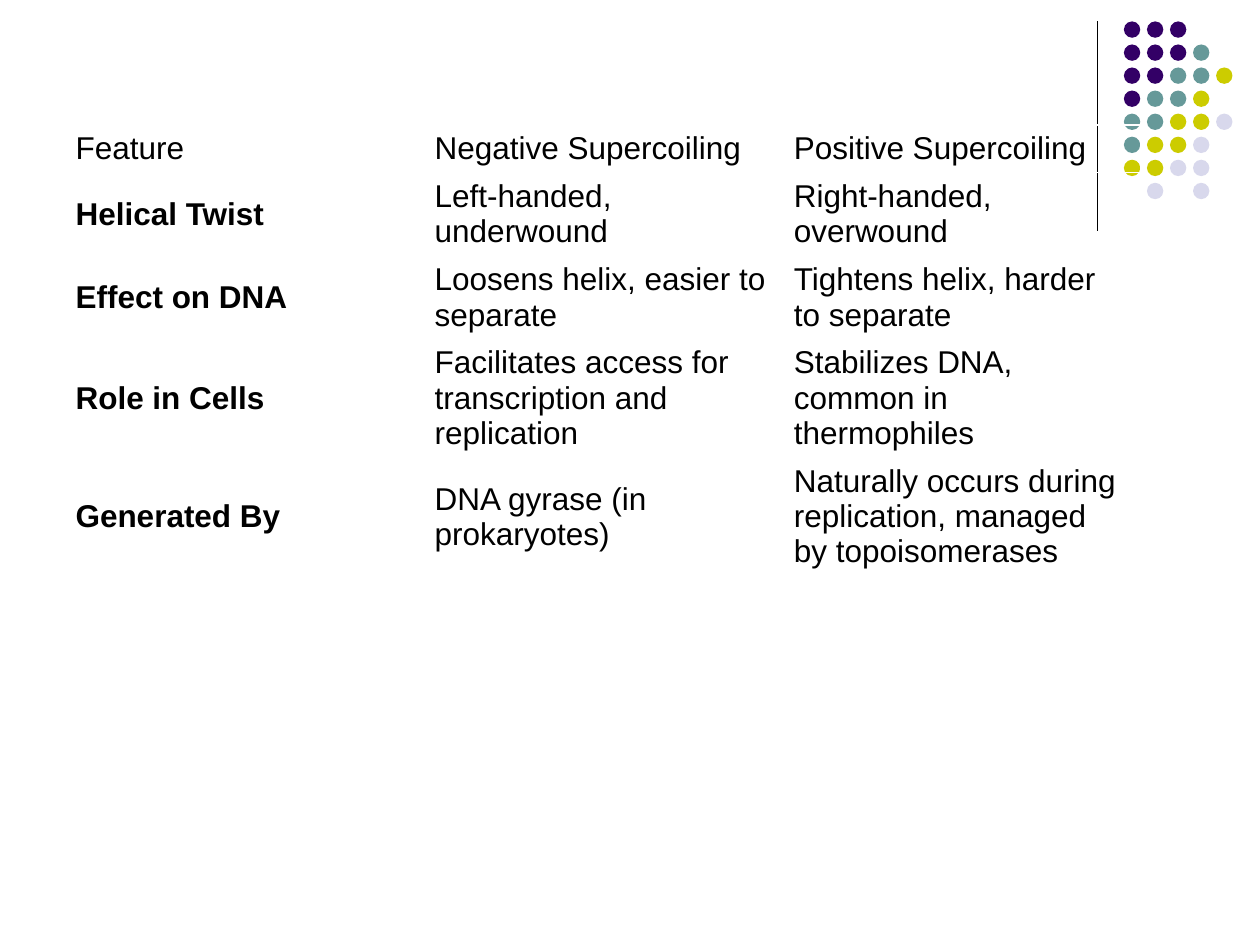
from pptx import Presentation
from pptx.dml.color import RGBColor
from pptx.enum.shapes import MSO_CONNECTOR, MSO_SHAPE
from pptx.enum.text import MSO_ANCHOR
from pptx.util import Inches, Pt
from lxml import etree

OVAL, STRAIGHT = MSO_SHAPE.OVAL, MSO_CONNECTOR.STRAIGHT
MIDDLE = MSO_ANCHOR.MIDDLE
COLORS = {"text": "000000", "P": "330066", "T": "669999",
          "Y": "CCCC00", "L": "D8D8EC"}
RGB = {name: RGBColor.from_string(value) for name, value in COLORS.items()}
A_NS = "http://schemas.openxmlformats.org/drawingml/2006/main"

prs = Presentation()
prs.slide_width, prs.slide_height = Inches(10), Inches(7.5)
s = prs.slides.add_slide(prs.slide_layouts[6])

# Vertical rule beside the dots
rule = s.shapes.add_connector(STRAIGHT, Inches(8.71), Inches(0.17),
                              Inches(8.71), Inches(1.83))
rule.line.color.rgb = RGB["text"]
rule.line.width = Pt(0.75)
etree.SubElement(rule._element.spPr, f"{{{A_NS}}}effectLst")

# Dot grid: one letter per colour, a dot for an empty place
DOTS = ["PPP", "PPPT", "PPTTY", "PTTY", "TTYYL", "TYYL", "YYLL", ".L.L"]
DOT_LEFT, DOT_TOP, PITCH, SIZE = 8.92, 0.17, 0.183, 0.13
dots = s.shapes.add_group_shape()
for row, letters in enumerate(DOTS):
    for col, letter in enumerate(letters):
        if letter == ".":
            continue
        dot = dots.shapes.add_shape(
            OVAL, Inches(DOT_LEFT + col * PITCH), Inches(DOT_TOP + row * PITCH),
            Inches(SIZE), Inches(SIZE))
        dot.shadow.inherit = False
        dot.fill.solid()
        dot.fill.fore_color.rgb = RGB[letter]
        dot.line.fill.background()

# Comparison table; row heights follow the number of text lines
ROWS = [
    ("Feature", "Negative Supercoiling", "Positive Supercoiling"),
    ("Helical Twist", "Left-handed, underwound", "Right-handed, overwound"),
    ("Effect on DNA", "Loosens helix, easier to separate",
     "Tightens helix, harder to separate"),
    ("Role in Cells", "Facilitates access for transcription and replication",
     "Stabilizes DNA, common in thermophiles"),
    ("Generated By", "DNA gyrase (in prokaryotes)",
     "Naturally occurs during replication, managed by topoisomerases"),
]
LINES = [1, 2, 2, 3, 3]
LINE_H, PADDING, COL_W = 0.28, 0.1, 2.85
heights = [n * LINE_H + PADDING for n in LINES]
FONT = {"name": "Arial", "size": Pt(18)}

table = s.shapes.add_table(len(ROWS), 3, Inches(0.5), Inches(0.99),
                           Inches(3 * COL_W), Inches(sum(heights))).table
table.first_row = table.horz_banding = False
for column in table.columns:
    column.width = Inches(COL_W)
for i, (texts, height) in enumerate(zip(ROWS, heights)):
    table.rows[i].height = Inches(height)
    for j, text in enumerate(texts):
        cell = table.cell(i, j)
        cell.fill.background()
        cell.vertical_anchor = MIDDLE
        r = cell.text_frame.paragraphs[0].add_run()
        r.text = text
        for name, value in FONT.items():
            setattr(r.font, name, value)
        r.font.bold = i > 0 and j == 0
        r.font.color.rgb = RGB["text"]

prs.save("out.pptx")
